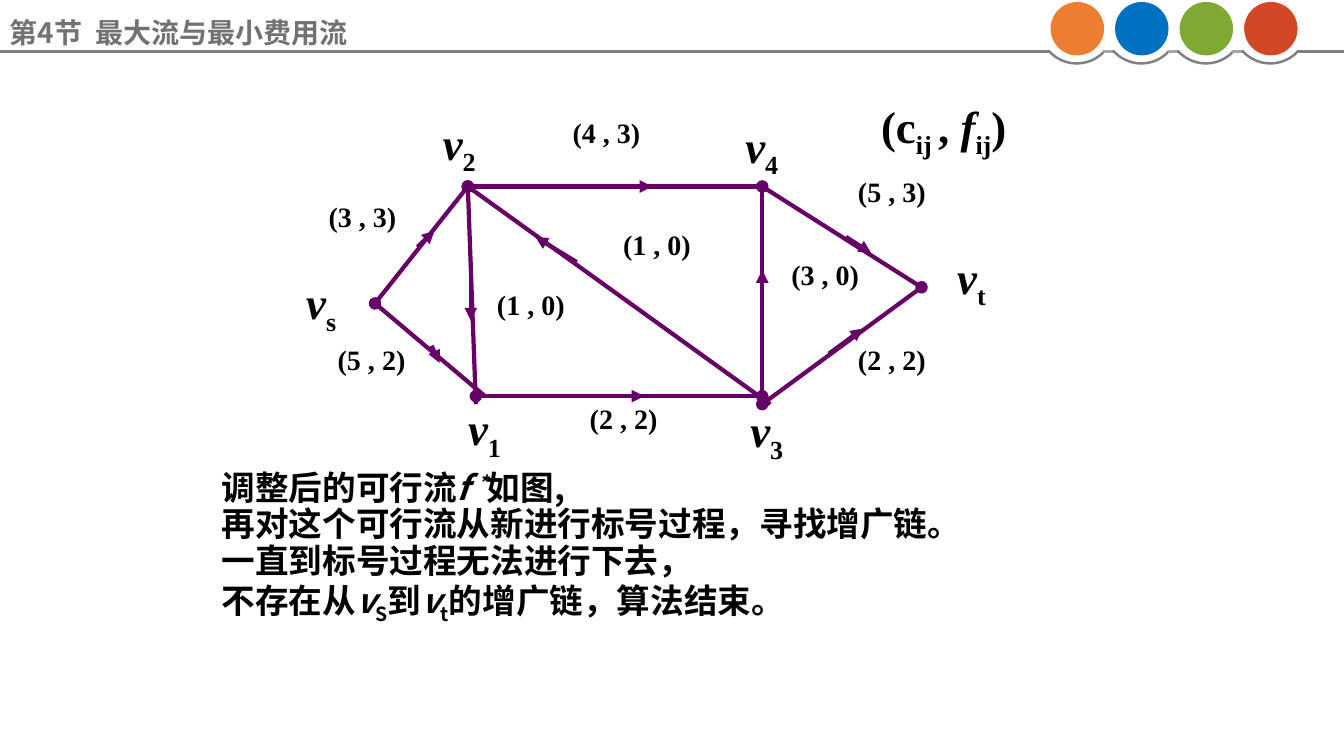
from lxml import etree
from pptx import Presentation
from pptx.dml.color import RGBColor
from pptx.enum.shapes import MSO_CONNECTOR, MSO_SHAPE
from pptx.enum.text import PP_ALIGN
from pptx.oxml.ns import qn
from pptx.util import Inches, Pt

STRAIGHT = MSO_CONNECTOR.STRAIGHT
ARC, OVAL = MSO_SHAPE.ARC, MSO_SHAPE.OVAL
LEFT, CENTER = PP_ALIGN.LEFT, PP_ALIGN.CENTER

PURPLE = RGBColor(0x66, 0x00, 0x66)
BLACK = RGBColor(0x00, 0x00, 0x00)
TITLE_GRAY = RGBColor(0x76, 0x71, 0x71)
RULE_GRAY = RGBColor(0x80, 0x80, 0x80)
GAP_GRAY = RGBColor(0xA6, 0xA6, 0xA6)
CIRCLE_COLORS = [
    RGBColor(0xED, 0x7D, 0x31),
    RGBColor(0x00, 0x70, 0xC0),
    RGBColor(0x80, 0xA9, 0x33),
    RGBColor(0xD2, 0x47, 0x26),
]
SANS, SERIF = "Noto Sans CJK SC", "Times New Roman"
SUBSCRIPT, SUPERSCRIPT = -25000, 30000
SLIDE_WIDTH, SLIDE_HEIGHT = 13.33, 7.5
HEADER_Y, HEADER_LINE = 0.51, 1.77
CIRCLE_STEP = 0.64

# Network: edges as (start, end, whether oval ends are drawn)
NODES = {
    "s": (3.72, 3.01), "1": (4.72, 3.93), "2": (4.64, 1.85),
    "3": (7.56, 4.01), "4": (7.56, 1.85), "t": (9.14, 2.85),
}
EDGES = [
    (NODES["s"], NODES["2"], True),
    (NODES["s"], (4.81, 3.93), False),
    (NODES["2"], NODES["4"], True),
    (NODES["1"], (7.56, 3.93), True),
    (NODES["4"], NODES["3"], False),
    (NODES["4"], NODES["t"], False),
    (NODES["t"], NODES["3"], True),
    (NODES["2"], (4.72, 4.01), False),
    (NODES["2"], (7.64, 4.01), False),
]
DIRECTIONS = [
    ((4.14, 2.45), (4.31, 2.29)), ((4.28, 3.43), (4.36, 3.60)),
    ((5.97, 1.85), (6.47, 1.85)), ((5.81, 3.93), (6.39, 3.93)),
    ((5.72, 2.60), (5.31, 2.35)), ((7.56, 3.10), (7.56, 2.68)),
    ((8.39, 2.35), (8.64, 2.51)), ((8.22, 3.51), (8.56, 3.26)),
    ((4.67, 2.60), (4.67, 3.18)),
]
NODE_LABELS = [
    ("s", 2.77, 2.68), ("1", 4.39, 3.93), ("2", 4.14, 1.10),
    ("3", 7.19, 3.95), ("4", 7.14, 1.13), ("t", 9.22, 2.43),
]
FLOW_LABELS = [
    ("(3 , 3)", 2.97, 1.93), ("(5 , 2)", 3.06, 3.35), ("(4 , 3)", 5.39, 1.10),
    ("(1 , 0)", 5.89, 2.21), ("(1 , 0)", 4.64, 2.80), ("(2 , 2)", 5.56, 3.93),
    ("(3 , 0)", 7.56, 2.51), ("(5 , 3)", 8.22, 1.68), ("(2 , 2)", 8.22, 3.35),
]

# Text: each paragraph is a list of (text, italic, baseline) runs
LEGEND = [
    ("(c", False, 0), ("ij ", False, SUBSCRIPT), (", ", False, 0),
    ("f", True, 0), ("ij", False, SUBSCRIPT), (")", False, 0),
]
CONCLUSION = [
    [("调整后的可行流", False, 0), ("f ", True, 0),
     ("*", True, SUPERSCRIPT), ("如图,", False, 0)],
    [("再对这个可行流从新进行标号过程，寻找增广链。", False, 0)],
    [("一直到标号过程无法进行下去，", False, 0)],
    [("不存在从", False, 0), ("v", True, 0), ("S", False, SUBSCRIPT),
     ("到", False, 0), ("v", True, 0), ("t", False, SUBSCRIPT),
     ("的增广链，算法结束。", False, 0)],
]


class SlideBuilder:
    def __init__(self, slide):
        self.slide = slide

    def line(self, start, end, color=PURPLE, width=3, head=None, tail=None):
        points = [Inches(value) for value in (*start, *end)]
        connector = self.slide.shapes.add_connector(STRAIGHT, *points)
        connector.line.color.rgb = color
        connector.line.width = Pt(width)
        outline = connector.line._get_or_add_ln()
        for tag, kind in (("a:headEnd", head), ("a:tailEnd", tail)):
            if kind:
                etree.SubElement(outline, qn(tag)).set("type", kind)
        etree.SubElement(connector._element.spPr, qn("a:effectLst"))

    def header_line(self, left, right, color=RULE_GRAY):
        self.line((left, HEADER_Y), (right, HEADER_Y), color, HEADER_LINE)

    def round_shape(self, kind, left, top, size):
        shape = self.slide.shapes.add_shape(
            kind, Inches(left), Inches(top), Inches(size), Inches(size))
        shape.shadow.inherit = False
        return shape

    def circle(self, left, top, size, color):
        shape = self.round_shape(OVAL, left, top, size)
        shape.fill.solid()
        shape.fill.fore_color.rgb = color
        shape.line.fill.background()

    def arc(self, left, top, size):
        shape = self.round_shape(ARC, left, top, size)
        shape.adjustments[0] = 25.378
        shape.adjustments[1] = 83.601
        shape.fill.background()
        shape.line.color.rgb = RULE_GRAY
        shape.line.width = Pt(HEADER_LINE)

    def text(self, box, paragraphs, size, font=SERIF, color=BLACK,
             align=CENTER, line_spacing=None):
        frame = self.slide.shapes.add_textbox(
            *[Inches(value) for value in box]).text_frame
        frame.word_wrap = True
        for index, runs in enumerate(paragraphs):
            paragraph = frame.add_paragraph() if index else frame.paragraphs[0]
            paragraph.alignment = align
            paragraph.line_spacing = line_spacing
            paragraph.font.size = Pt(size)
            paragraph.font.bold = True
            paragraph.font.color.rgb = color
            paragraph.font.name = font
            properties = paragraph.font._element
            etree.SubElement(properties, qn("a:ea")).set("typeface", font)
            for content, italic, baseline in runs:
                run = paragraph.add_run()
                run.text = content
                if italic:
                    run.font.italic = True
                if baseline:
                    run.font._element.set("baseline", str(baseline))


def main():
    presentation = Presentation()
    presentation.slide_width = Inches(SLIDE_WIDTH)
    presentation.slide_height = Inches(SLIDE_HEIGHT)
    slide = presentation.slides.add_slide(presentation.slide_layouts[6])
    builder = SlideBuilder(slide)

    # Header: title, rule and four circles cradled by arcs
    builder.text((0, 0.1, 10.96, 0.36),
                 [[("第4节  最大流与最小费用流", False, 0)]],
                 20, SANS, TITLE_GRAY, LEFT)
    builder.header_line(0, 10.41)
    builder.header_line(12.86, SLIDE_WIDTH)
    for index, color in enumerate(CIRCLE_COLORS):
        offset = index * CIRCLE_STEP
        builder.arc(10.31 + offset, -0.11, 0.74)
        builder.circle(10.42 + offset, 0.02, 0.53, color)
        if index < len(CIRCLE_COLORS) - 1:
            builder.header_line(10.94 + offset, 11.05 + offset, GAP_GRAY)

    # Network edges and flow directions
    for start, end, dotted in EDGES:
        ends = "oval" if dotted else None
        builder.line(start, end, head=ends, tail=ends)
    for start, end in DIRECTIONS:
        builder.line(start, end, tail="triangle")

    # Node names, capacities with flows, and legend
    for name, left, top in NODE_LABELS:
        builder.text((left, top, 0.83, 0.63),
                     [[("v", True, 0), (name, False, SUBSCRIPT)]], 32)
    for label, left, top in FLOW_LABELS:
        builder.text((left, top, 1.25, 0.43), [[(label, False, 0)]], 20)
    builder.text((8.64, 0.93, 1.83, 0.63), [LEGEND], 32, align=LEFT)

    # Conclusion
    builder.text((2.1, 4.63, 8.92, 1.8), CONCLUSION, 24, SANS,
                 align=LEFT, line_spacing=0.9)

    presentation.save("out.pptx")


if __name__ == "__main__":
    main()
